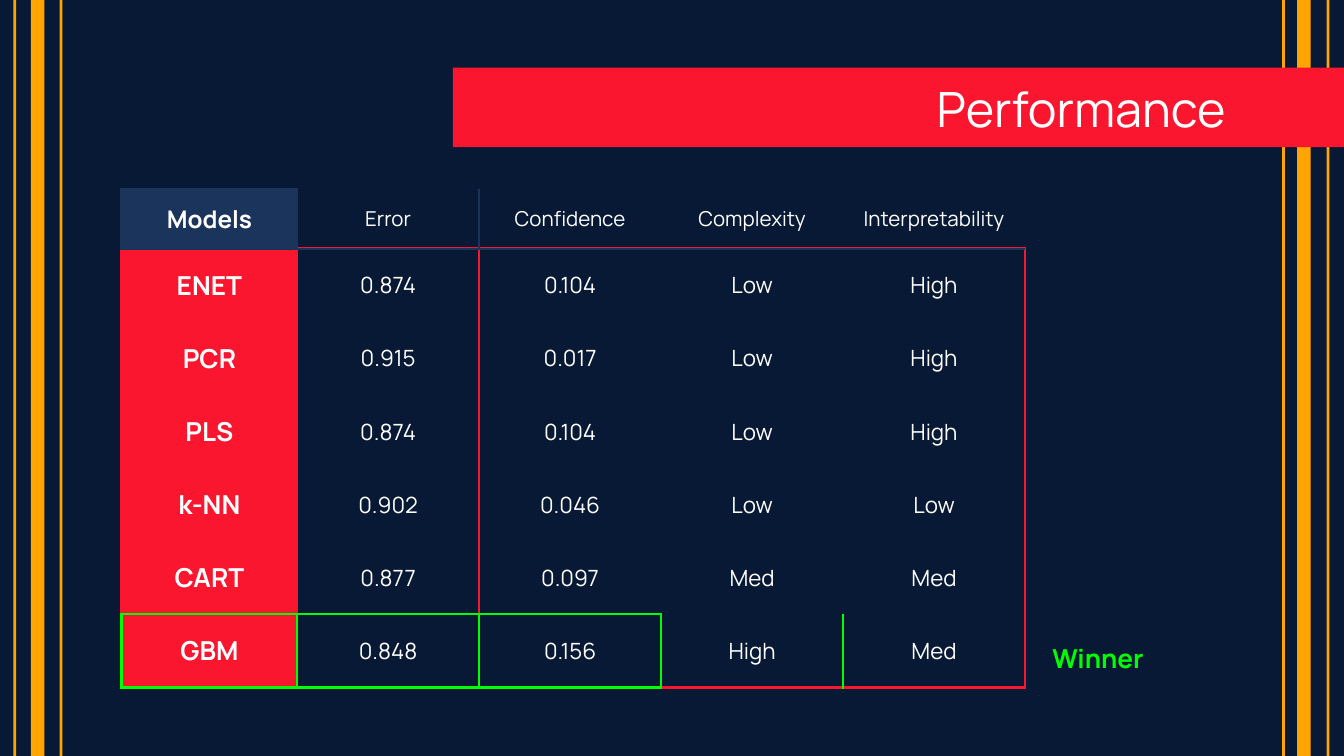
"""Build the model performance slide with its comparison tables."""
from lxml import etree
from pptx import Presentation
from pptx.dml.color import RGBColor
from pptx.enum.shapes import MSO_SHAPE
from pptx.enum.text import MSO_ANCHOR, PP_ALIGN
from pptx.oxml.ns import qn
from pptx.util import Pt

RECTANGLE = MSO_SHAPE.RECTANGLE
MIDDLE = MSO_ANCHOR.MIDDLE
CENTER = PP_ALIGN.CENTER
RIGHT = PP_ALIGN.RIGHT

COLORS = {
    "navy": "081935",
    "blue": "1A345C",
    "red": "FA162E",
    "orange": "FFA400",
    "green": "00FF00",
    "white": "FFFFFF",
}
FONT = "Manrope"
PLAIN_STYLE = "{2D5ABB26-0587-4C30-8999-92F81FD0307C}"
INSET = 7.2
WIDTH, HEIGHT = 720, 405
TABLE_LEFT = 65.2
COLUMN_WIDTHS = [94] + [97.5] * 4
STRIPES = [(7.2, 1.5), (16.6, 7.2), (31.9, 1.5),
           (686.9, 1.5), (694.9, 7.2), (710.7, 1.5)]
HEADER = [["Models", "Error", "Confidence", "Complexity", "Interpretability"]]
RESULTS = [
    ["ENET", "0.874", "0.104", "Low", "High"],
    ["PCR", "0.915", "0.017", "Low", "High"],
    ["PLS", "0.874", "0.104", "Low", "High"],
    ["k-NN", "0.902", "0.046", "Low", "Low"],
    ["CART", "0.877", "0.097", "Med", "Med"],
    ["GBM", "0.848", "0.156", "High", "Med"],
]
LAST_ROW = len(RESULTS) - 1
LAST_COLUMN = len(COLUMN_WIDTHS) - 1
MARKED_COLUMNS = 3


def rgb(name):
    return RGBColor.from_string(COLORS[name])


def add_bar(page, left, top, width, height, color):
    bar = page.shapes.add_shape(RECTANGLE, Pt(left), Pt(top), Pt(width), Pt(height))
    bar.shadow.inherit = False
    bar.fill.solid()
    bar.fill.fore_color.rgb = rgb(color)
    bar.line.fill.background()
    return bar


def write_text(frame, text, size, color="white", bold=False, align=CENTER):
    frame.margin_left = frame.margin_right = Pt(INSET)
    frame.margin_top = frame.margin_bottom = Pt(INSET)
    frame.word_wrap = True
    frame.text = text
    para = frame.paragraphs[0]
    para.alignment = align
    para.font.name = FONT
    para.font.size = Pt(size)
    para.font.bold = bold
    para.font.color.rgb = rgb(color)


def set_title(page, bar, text):
    title = page.shapes.title
    title.left, title.top = Pt(261.4), Pt(35.3)
    title.width, title.height = Pt(402.5), Pt(45.4)
    write_text(title.text_frame, text, 26, align=RIGHT)
    title.text_frame.vertical_anchor = MIDDLE
    bar.element.addnext(title.element)


def set_borders(cell, edges):
    properties = cell._tc.get_or_add_tcPr()
    for side in "LRTB":
        if side in edges:
            line = etree.SubElement(properties, qn(f"a:ln{side}"), w=str(Pt(1.5)))
            fill = etree.SubElement(line, qn("a:solidFill"))
            etree.SubElement(fill, qn("a:srgbClr"), val=COLORS[edges[side]])


def header_edges(row, column):
    if column == 0:
        return dict.fromkeys("LRTB", "blue")
    return {"L": "blue", "B": "blue"} if column == 1 else {"B": "blue"}


def result_edges(row, column):
    marked = column < MARKED_COLUMNS
    if row == LAST_ROW and marked:
        return dict.fromkeys("LRTB", "green")
    edges = dict.fromkeys("LRTB", "red") if column == 0 else {}
    if column == 1:
        edges["L"] = "red"
    if column == LAST_COLUMN:
        edges["R"] = "red"
    if row == 0:
        edges["T"] = "red"
    if row == LAST_ROW:
        edges["B"] = "red"
        if column == MARKED_COLUMNS:
            edges["L"] = "green"
    if row == LAST_ROW - 1 and marked:
        edges["B"] = "green"
    return edges


def add_grid(page, rows, top, row_height, label_color, label_size, size, edge_rule):
    frame = page.shapes.add_table(
        len(rows), len(COLUMN_WIDTHS), Pt(TABLE_LEFT), Pt(top),
        Pt(sum(COLUMN_WIDTHS)), Pt(row_height * len(rows)))
    table = frame.table
    table.first_row = table.horz_banding = False
    frame.element.find(".//" + qn("a:tableStyleId")).text = PLAIN_STYLE
    for column, width in zip(table.columns, COLUMN_WIDTHS):
        column.width = Pt(width)
    for row_index, texts in enumerate(rows):
        table.rows[row_index].height = Pt(row_height)
        for column_index, text in enumerate(texts):
            cell = table.cell(row_index, column_index)
            is_label = column_index == 0
            write_text(cell.text_frame, text, label_size if is_label else size,
                       bold=is_label)
            cell.margin_left = cell.margin_right = Pt(INSET)
            cell.margin_top = cell.margin_bottom = Pt(INSET)
            cell.vertical_anchor = MIDDLE
            set_borders(cell, edge_rule(row_index, column_index))
            if is_label:
                cell.fill.solid()
                cell.fill.fore_color.rgb = rgb(label_color)
            else:
                cell.fill.background()


def add_label(page, text):
    box = page.shapes.add_textbox(Pt(554.4), Pt(337), Pt(67.7), Pt(31.7))
    write_text(box.text_frame, text, 14, "green", bold=True)


def main():
    deck = Presentation()
    deck.slide_width, deck.slide_height = Pt(WIDTH), Pt(HEIGHT)
    page = deck.slides.add_slide(deck.slide_layouts[5])
    page.background.fill.solid()
    page.background.fill.fore_color.rgb = rgb("navy")
    for left, width in STRIPES:
        add_bar(page, left, 0, width, HEIGHT, "orange")
    banner = add_bar(page, 242.7, 36.2, WIDTH - 242.7, 42.6, "red")
    set_title(page, banner, "Performance")
    add_grid(page, RESULTS, 133.2, 39.2, "red", 14, 12, result_edges)
    add_grid(page, HEADER, 101.2, 28.2, "blue", 13, 11, header_edges)
    add_label(page, "Winner")
    deck.save("out.pptx")


if __name__ == "__main__":
    main()
